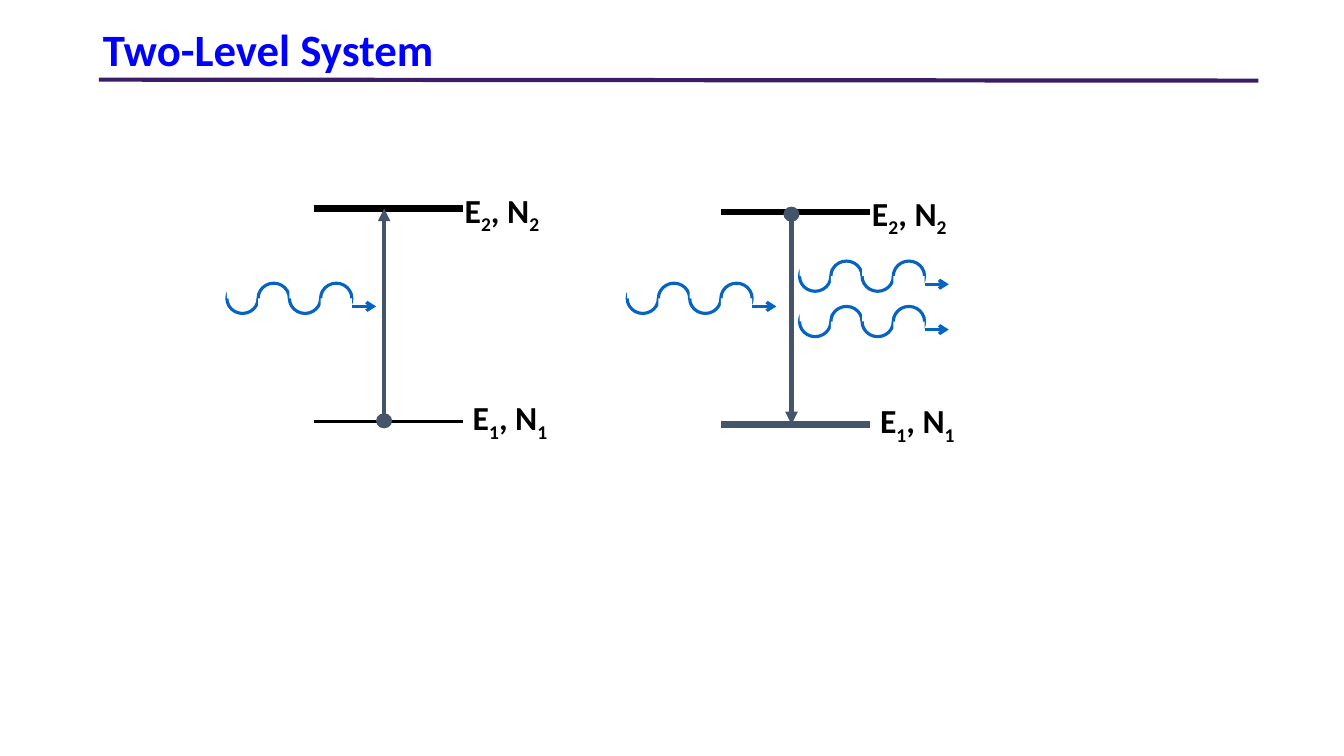
from dataclasses import dataclass

from pptx import Presentation
from pptx.dml.color import RGBColor
from pptx.enum.shapes import MSO_CONNECTOR as CONN, MSO_SHAPE as SHAPE
from pptx.enum.text import MSO_ANCHOR, PP_ALIGN
from pptx.oxml.ns import qn
from pptx.util import Inches, Pt
from lxml.etree import SubElement


@dataclass(frozen=True)
class Theme:
    font: str = "Calibri"
    title_size: int = 32
    label_size: int = 24
    title: str = "0000FF"
    rule: str = "3A1D64"
    ink: str = "000000"
    slate: str = "44546A"
    wave: str = "0563C1"
    paper: str = "FFFFFF"
    thin: float = 2.25
    medium: float = 3
    thick: float = 4.5


T = Theme()


def rgb(color):
    return RGBColor.from_string(color)


def set_font(font, size, color):
    values = {"name": T.font, "size": Pt(size), "bold": True}
    for name, value in values.items():
        setattr(font, name, value)
    font.color.rgb = rgb(color)


def add_line(s, x1, y1, x2, y2, color, width, arrow=None):
    line = s.shapes.add_connector(CONN.STRAIGHT, *map(Inches, (x1, y1, x2, y2)))
    line.line.color.rgb = rgb(color)
    line.line.width = Pt(width)
    if arrow:
        SubElement(line.line._get_or_add_ln(), qn("a:tailEnd"), type=arrow)
    SubElement(line._element.spPr, qn("a:effectLst"))


def add_figure(s, kind, x, y, w, h, fill=None, outline=None):
    sp = s.shapes.add_shape(kind, *map(Inches, (x, y, w, h)))
    sp.shadow.inherit = False
    if fill:
        sp.fill.solid()
        sp.fill.fore_color.rgb = rgb(fill)
    else:
        sp.fill.background()
    if outline:
        sp.line.color.rgb = rgb(outline)
        sp.line.width = Pt(T.thin)
    else:
        sp.line.fill.background()


def add_title(s, x, y, w, h):
    title = s.shapes.title
    box = {"left": x, "top": y, "width": w, "height": h}
    for name, value in box.items():
        setattr(title, name, Inches(value))
    tf = title.text_frame
    tf.vertical_anchor = MSO_ANCHOR.MIDDLE
    p = tf.paragraphs[0]
    p.alignment = PP_ALIGN.LEFT
    p.line_spacing = 0.9
    r = p.add_run()
    r.text = "Two-Level System"
    set_font(r.font, T.title_size, T.title)


def add_label(s, x, y, level):
    tf = s.shapes.add_textbox(*map(Inches, (x, y, 1.79, 1.11))).text_frame
    tf.word_wrap = True
    p = tf.paragraphs[0]
    for text, baseline in (("E", 0), (level, -25000), (", N", 0), (level, -25000)):
        r = p.add_run()
        r.text = text
        set_font(r.font, T.label_size, T.ink)
        if baseline:
            r._r.get_or_add_rPr().set("baseline", str(baseline))


def add_photon(s, x, y):
    """Four half circles, lower and upper in turn, and an arrow."""
    w, h, mask = 0.31, 0.3, 0.23
    for i in range(4):
        left = x + i * w
        add_figure(s, SHAPE.OVAL, left, y, w, h, outline=T.wave)
        mask_top = y + h / 2 - (mask if i % 2 == 0 else 0)
        add_figure(s, SHAPE.RECTANGLE, left, mask_top, w, mask, fill=T.paper)
    add_line(s, x + 4 * w, y + 0.23, x + 4 * w + 0.24, y + 0.23, T.wave, T.thin, "arrow")


def add_transition(s, x, y, upward, lower_color, lower_width, photons):
    """Two levels, the jump between them and the photons, from the upper level's left end."""
    width, gap = 1.48, 2.11
    low = y + gap

    # Energy levels and their labels
    add_line(s, x, low, x + width, low, lower_color, lower_width)
    add_line(s, x, y, x + width, y, T.ink, T.thick)
    add_label(s, x + width, low - 0.29, "1")
    add_label(s, x + width - 0.08, y - 0.24, "2")

    # Jump from the occupied level
    start, end = (low, y) if upward else (y, low)
    jump = x + 0.7
    add_line(s, jump, start, jump, end, T.slate, T.medium, "triangle")
    dot_y = start if upward else start + 0.03
    add_figure(s, SHAPE.OVAL, jump - 0.08, dot_y - 0.08, 0.16, 0.15, fill=T.slate)

    # Photons
    for dx, dy in photons:
        add_photon(s, x + dx, y + dy)


def main():
    prs = Presentation()
    prs.slide_width, prs.slide_height = Inches(13.33), Inches(7.5)
    s = prs.slides.add_slide(prs.slide_layouts[5])

    # Heading
    add_line(s, 0.98, 0.79, 12.48, 0.8, T.rule, T.medium)
    add_title(s, 0.92, -0.1, 9.04, 1.24)

    # Absorption, then stimulated emission
    add_transition(s, 3.11, 2.07, True, T.ink, T.thin, [(-0.86, 0.74)])
    add_transition(s, 7.15, 2.1, False, T.slate, T.thick,
                   [(-0.93, 0.71), (0.78, 0.49), (0.78, 0.94)])

    prs.save("out.pptx")


if __name__ == "__main__":
    main()
